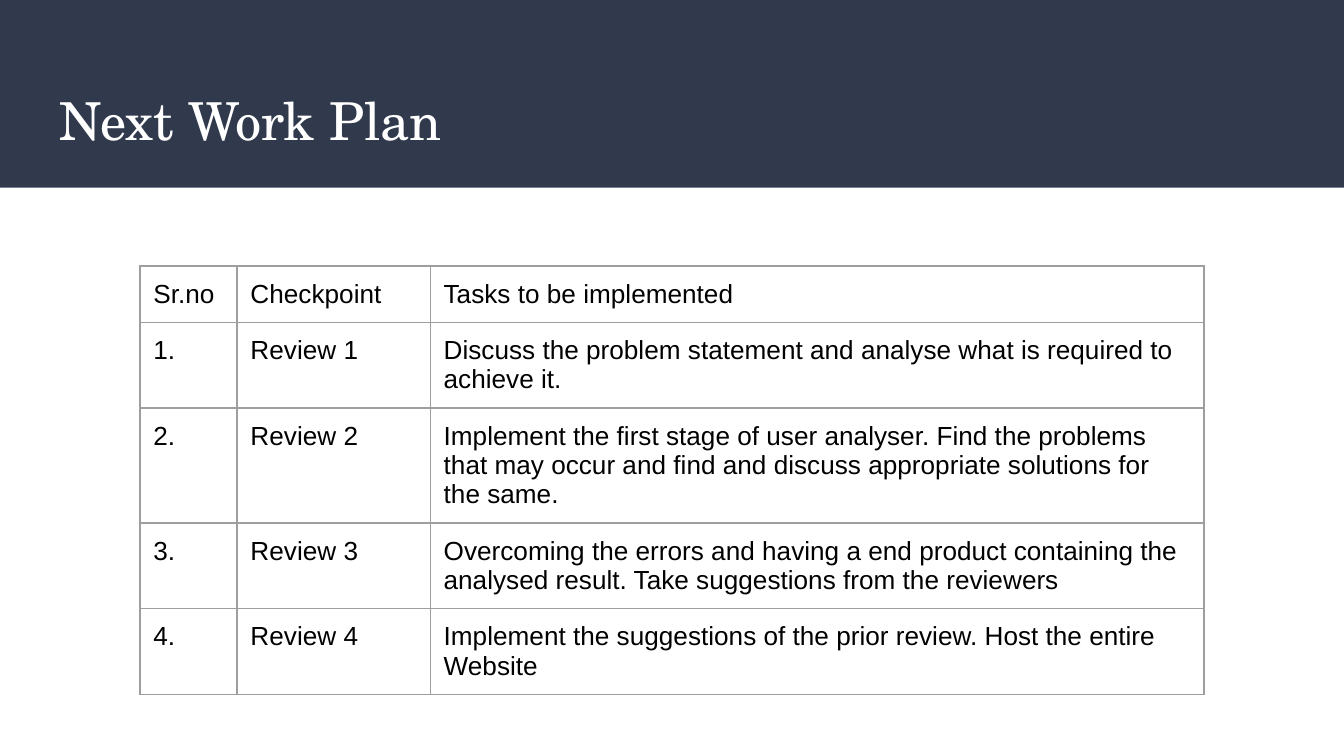
from lxml import etree
from pptx import Presentation
from pptx.dml.color import RGBColor
from pptx.enum import shapes, text
from pptx.oxml import ns
from pptx.util import Pt

# Content
TITLE = "Next Work Plan"
HEADER = ("Sr.no", "Checkpoint", "Tasks to be implemented")
TASKS = [
    "Discuss the problem statement and analyse what is required to achieve it.",
    "Implement the first stage of user analyser. Find the problems that may occur "
    "and find and discuss appropriate solutions for the same.",
    "Overcoming the errors and having a end product containing the analysed result. "
    "Take suggestions from the reviewers",
    "Implement the suggestions of the prior review. Host the entire Website",
]
ROWS = [HEADER] + [(f"{n}.", f"Review {n}", task) for n, task in enumerate(TASKS, 1)]

# Style, lengths in points
NAVY = RGBColor(0x31, 0x39, 0x4D)
WHITE = RGBColor(0xFF, 0xFF, 0xFF)
BLACK = RGBColor(0, 0, 0)
GRAY = RGBColor(0x9E, 0x9E, 0x9E)
PAGE_WIDTH, PAGE_HEIGHT = 720, 405
BAND_HEIGHT = 100.5
INSET = 7.2
COLUMN_WIDTHS = (52, 103.5, 414.5)
ROW_HEIGHT = 30.2
TABLE_LEFT, TABLE_TOP = 75, 142.5


def set_insets(target):
    for side in ("left", "right", "top", "bottom"):
        setattr(target, f"margin_{side}", Pt(INSET))


def set_font(para, name, size, color):
    para.font.name = name
    para.font.size = Pt(size)
    para.font.color.rgb = color


def add_borders(cell, color, width):
    properties = cell._tc.get_or_add_tcPr()
    for side in ("lnL", "lnR", "lnT", "lnB"):
        line = etree.SubElement(properties, ns.qn(f"a:{side}"), w=str(Pt(width)))
        fill = etree.SubElement(line, ns.qn("a:solidFill"))
        etree.SubElement(fill, ns.qn("a:srgbClr"), val=str(color))


deck = Presentation()
deck.slide_width, deck.slide_height = Pt(PAGE_WIDTH), Pt(PAGE_HEIGHT)
page = deck.slides.add_slide(deck.slide_layouts[5])

# Header band, placed behind the title
band = page.shapes.add_shape(
    shapes.MSO_SHAPE.RECTANGLE, 0, 0, Pt(PAGE_WIDTH), Pt(BAND_HEIGHT))
band.shadow.inherit = False
band.fill.solid()
band.fill.fore_color.rgb = NAVY
band.line.fill.background()
title = page.shapes.title
title._element.addprevious(band._element)

# Title
title.left, title.top, title.width, title.height = Pt(24.5), Pt(39.5), Pt(671), Pt(49)
frame = title.text_frame
frame.text = TITLE
frame.word_wrap = True
frame.auto_size = text.MSO_AUTO_SIZE.NONE
frame.vertical_anchor = text.MSO_ANCHOR.MIDDLE
set_insets(frame)
frame.paragraphs[0].alignment = text.PP_ALIGN.LEFT
set_font(frame.paragraphs[0], "TeX Gyre Schola", 28, WHITE)

# Work plan table
table = page.shapes.add_table(
    len(ROWS), len(HEADER), Pt(TABLE_LEFT), Pt(TABLE_TOP),
    Pt(sum(COLUMN_WIDTHS)), Pt(ROW_HEIGHT * len(ROWS))).table
table.first_row = table.horz_banding = False
for column, width in zip(table.columns, COLUMN_WIDTHS):
    column.width = Pt(width)
for row, values in zip(table.rows, ROWS):
    row.height = Pt(ROW_HEIGHT)
    for cell, value in zip(row.cells, values):
        cell.text = value
        set_insets(cell)
        set_font(cell.text_frame.paragraphs[0], "Arial", 14, BLACK)
        add_borders(cell, GRAY, 0.75)
        cell.fill.background()

deck.save("out.pptx")
